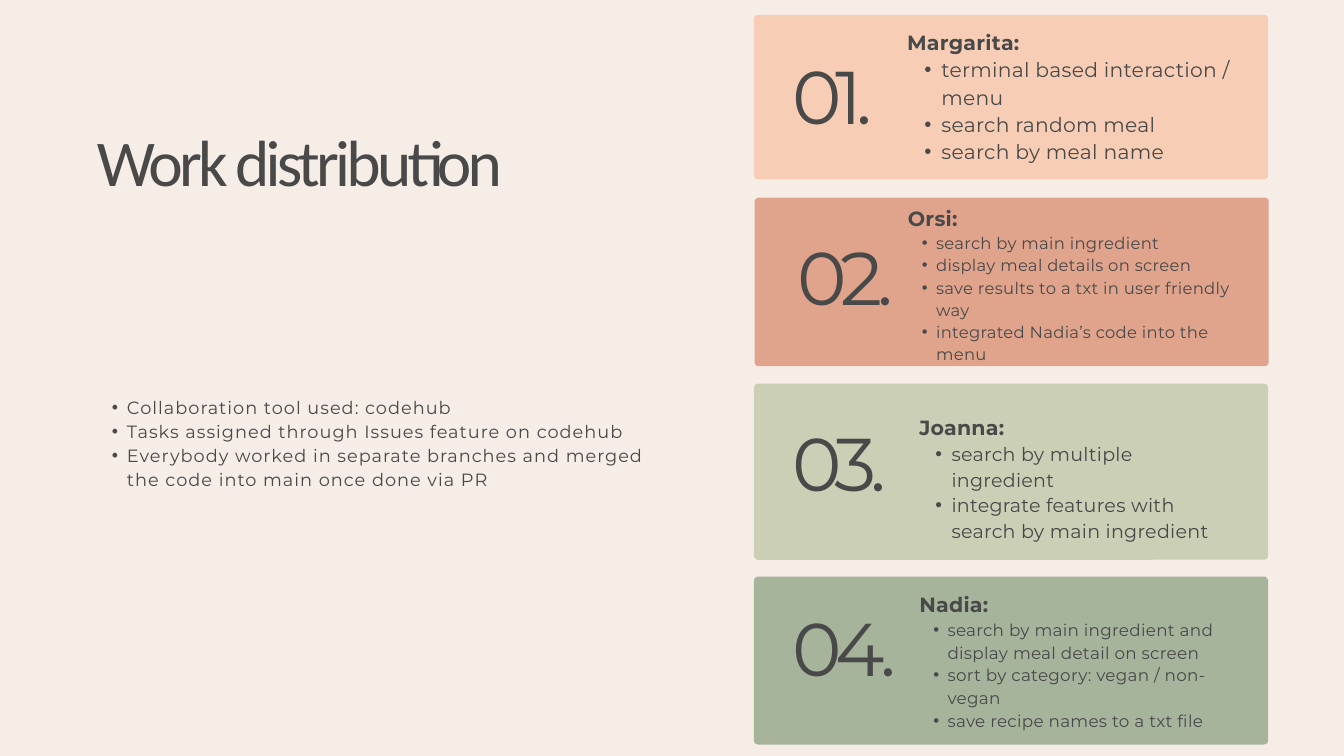
from dataclasses import dataclass

from lxml.etree import SubElement
from pptx import Presentation
from pptx.dml.color import RGBColor
from pptx.enum.shapes import MSO_SHAPE
from pptx.enum.text import MSO_ANCHOR, MSO_AUTO_SIZE, PP_ALIGN
from pptx.oxml.ns import qn
from pptx.util import Inches, Pt


@dataclass(frozen=True)
class Theme:
    background: str = "F5EDE6"
    ink: str = "494949"
    peach: str = "F7CEB5"
    terracotta: str = "E0A38B"
    sage: str = "CBCFB5"
    green: str = "A6B49C"
    title_font: str = "Calibri"
    body_font: str = "Montserrat"
    title_size: float = 70
    number_size: float = 80
    name_size: float = 22
    collaboration_size: float = 19
    bullet_line_ratio: float = 1.35


@dataclass
class Member:
    name: str
    tasks: list
    color: str
    card: tuple
    number_at: tuple
    text_box: tuple
    task_size: float
    indent: float


class SlideBuilder:
    def __init__(self, slide, theme):
        self.slide = slide
        self.theme = theme
        background = slide.background.fill
        background.solid()
        background.fore_color.rgb = RGBColor.from_string(theme.background)

    def prepare(self, frame):
        frame.margin_left = frame.margin_right = 0
        frame.margin_top = frame.margin_bottom = 0
        frame.word_wrap = True
        frame.auto_size = MSO_AUTO_SIZE.NONE
        frame.vertical_anchor = MSO_ANCHOR.TOP

    def text_frame(self, box):
        frame = self.slide.shapes.add_textbox(*map(Inches, box)).text_frame
        self.prepare(frame)
        return frame

    def style(self, paragraph, size, line, spacing, bold=False, font=None):
        paragraph.alignment = PP_ALIGN.LEFT
        paragraph.line_spacing = Pt(line)
        paragraph.space_before = Pt(0)
        for run in paragraph.runs:
            run.font.size = Pt(size)
            run.font.name = font or self.theme.body_font
            run.font.bold = bold
            run.font.color.rgb = RGBColor.from_string(self.theme.ink)
            run._r.get_or_add_rPr().set("spc", str(round(spacing * 100)))

    def title(self, text, box):
        title = self.slide.shapes.title
        title.left, title.top, title.width, title.height = map(Inches, box)
        self.prepare(title.text_frame)
        title.text_frame.text = text
        self.style(title.text_frame.paragraphs[0], self.theme.title_size,
                   90.3, -4, font=self.theme.title_font)

    def bullet(self, paragraph, text, size, indent, spacing):
        paragraph.text = text
        paragraph.level = 1
        properties = paragraph._p.get_or_add_pPr()
        properties.set("marL", str(Inches(indent)))
        properties.set("indent", str(-Inches(indent / 2)))
        SubElement(properties, qn("a:buFont")).set("typeface", "Arial")
        SubElement(properties, qn("a:buChar")).set("char", "•")
        self.style(paragraph, size, round(size * self.theme.bullet_line_ratio, 1), spacing)

    def bullet_list(self, items, box, size, indent, spacing, heading=None):
        frame = self.text_frame(box)
        paragraph = frame.paragraphs[0]
        if heading:
            paragraph.text = heading
            self.style(paragraph, self.theme.name_size, 29.7, spacing, bold=True)
        for index, item in enumerate(items):
            if index or heading:
                paragraph = frame.add_paragraph()
            self.bullet(paragraph, item, size, indent, spacing)

    def card(self, box, color):
        card = self.slide.shapes.add_shape(MSO_SHAPE.ROUNDED_RECTANGLE, *map(Inches, box))
        card.adjustments[0] = 0.06 / box[3]
        card.shadow.inherit = False
        card.fill.solid()
        card.fill.fore_color.rgb = RGBColor.from_string(color)
        card.line.fill.background()

    def number(self, text, position):
        paragraph = self.text_frame((*position, 1.73, 1.12)).paragraphs[0]
        paragraph.text = text
        self.style(paragraph, self.theme.number_size, 76.8, -6.6)

    def member(self, order, member):
        self.card(member.card, member.color)
        self.number(f"{order:02}.", member.number_at)
        self.bullet_list(member.tasks, member.text_box, member.task_size,
                         member.indent, 0.3, heading=f"{member.name}:")


def main():
    theme = Theme()
    presentation = Presentation()
    presentation.slide_width = Inches(20)
    presentation.slide_height = Inches(11.25)
    slide = presentation.slides.add_slide(presentation.slide_layouts[5])
    builder = SlideBuilder(slide, theme)

    builder.title("Work distribution", (1.44, 1.72, 8.43, 2.55))
    collaboration = [
        "Collaboration tool used: codehub",
        "Tasks assigned through Issues feature on codehub",
        "Everybody worked in separate branches and merged the code into main once done via PR",
    ]
    builder.bullet_list(collaboration, (1.44, 5.86, 8.43, 1.76),
                        theme.collaboration_size, 0.45, 1.1)

    team = [
        Member("Margarita",
               ["terminal based interaction / menu", "search random meal", "search by meal name"],
               theme.peach, (11.22, 0.22, 7.65, 2.45), (11.79, 1.01),
               (13.5, 0.4, 4.97, 2.02), 21.7, 0.51),
        Member("Orsi",
               ["search by main ingredient", "display meal details on screen",
                "save results to a txt in user friendly way",
                "integrated Nadia’s code into the menu"],
               theme.terracotta, (11.23, 2.94, 7.65, 2.51), (11.87, 3.7),
               (13.51, 3.02, 5.12, 2.42), 17.6, 0.42),
        Member("Joanna",
               ["search by multiple ingredient", "integrate features with search by main ingredient"],
               theme.sage, (11.22, 5.71, 7.65, 2.62), (11.79, 6.47),
               (13.68, 6.13, 4.52, 2.85), 20.4, 0.48),
        Member("Nadia",
               ["search by main ingredient and display meal detail on screen",
                "sort by category: vegan / non-vegan", "save recipe names to a txt file"],
               theme.green, (11.22, 8.58, 7.65, 2.5), (11.79, 9.22),
               (13.68, 8.77, 4.52, 2.06), 18, 0.42),
    ]
    for order, member in enumerate(team, start=1):
        builder.member(order, member)

    presentation.save("out.pptx")


if __name__ == "__main__":
    main()
